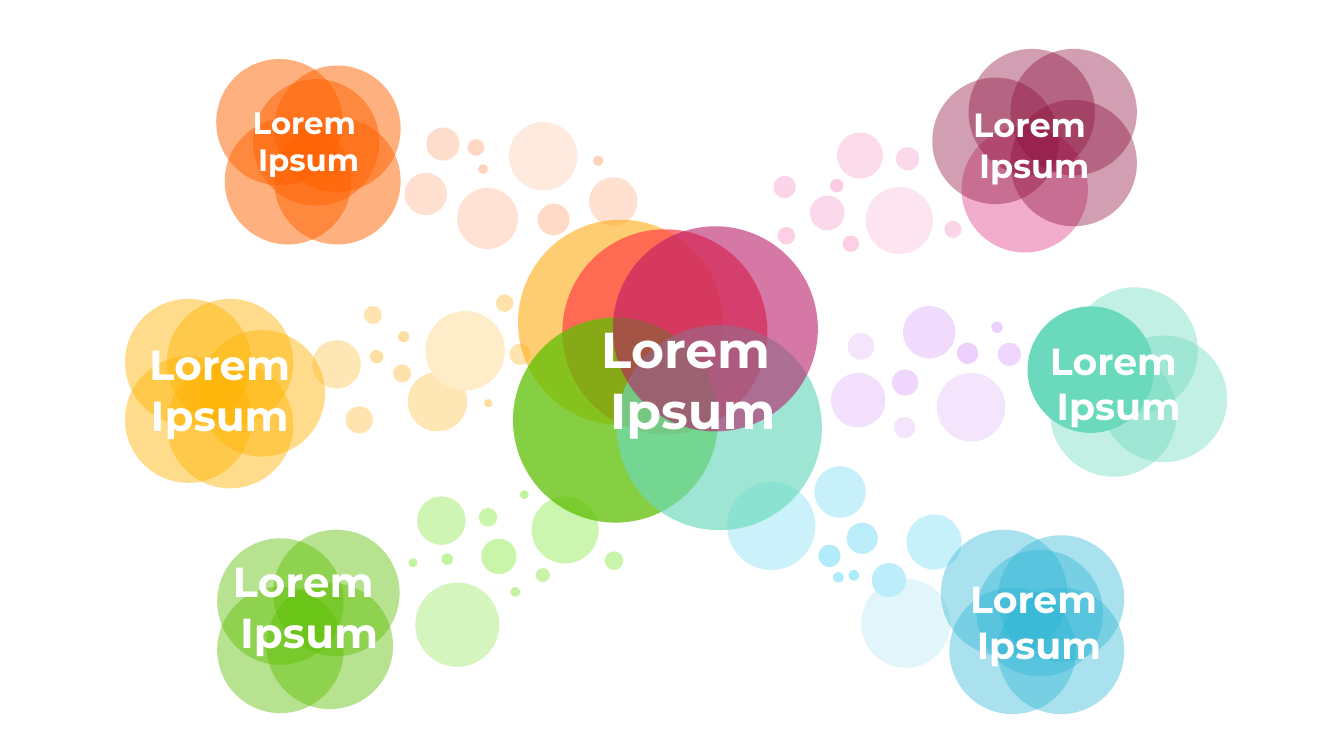
from lxml import etree
from pptx import Presentation
from pptx import util as u
from pptx.dml.color import RGBColor
from pptx.enum import shapes, text
from pptx.oxml.ns import qn


def tints(codes):
    return [RGBColor.from_string(c) for c in codes.split()]


WHITE = RGBColor(0xFF, 0xFF, 0xFF)
ORANGE = RGBColor(0xFF, 0x62, 0x00)
YELLOW = RGBColor(0xFF, 0xB3, 0x00)
GREEN = RGBColor(0x5C, 0xBF, 0x00)
TEAL = RGBColor(0x6B, 0xDA, 0xBC)
BLUE = RGBColor(0x2B, 0xB5, 0xD6)
WINE = RGBColor(0x8C, 0x10, 0x3D)
PINK = RGBColor(0xDE, 0x33, 0x7D)
AMBER = RGBColor(0xFF, 0xAE, 0x17)
RED = RGBColor(0xFF, 0x4A, 0x4A)
MAGENTA = RGBColor(0xB8, 0x18, 0x66)
ORANGE_TINTS = tints("FFE0D1 FFEAE0 FFE2D4 FFDAC7 FFDDCC FFD7C2 FFD2BA")
PURPLE_TINTS = tints("F1DBFC F2E0FC F4E5FC EFD6FC EDD1FC")
PINK_TINTS = tints("FCDBEB FCD9EA FCCFE4 FCCCE2 FCD4E7 FCE5F0")
GREEN_TINTS = tints("CCF5B0 CEF5B3 D5F5BF C8F5A9 C1F59D")
YELLOW_TINTS = tints("FFE4B0 FFE6B5 FFE2AB FFDEA1 FFE7B5 FFEDC9")
BLUE_TINTS = tints("C6F0FA CBF1FA E1F5FA C8F0FA BBEEFA B2ECFA ACEBFA")

PETAL = 2.51   # diameter of a petal in the outer flowers, inches
CORE = 4.07    # diameter of a petal in the central flower, inches

# Bubbles: for each tint, its circles as (left, top, diameter) in inches
BUBBLES = [
    (ORANGE_TINTS, [
        [(11.69, 3.52, 0.96), (8.03, 3.43, 0.84)],
        [(10.1, 2.42, 1.36)],
        [(9.07, 3.73, 1.21)],
        [(10.67, 4.04, 0.63)],
        [(8.46, 2.53, 0.66)],
        [(9.28, 2.76, 0.33)],
        [(9.49, 3.26, 0.19), (11.77, 3.09, 0.2)]]),
    (PURPLE_TINTS, [
        [(17.92, 6.07, 1.04)],
        [(16.49, 7.4, 1.08)],
        [(17.74, 8.27, 0.42), (16.82, 6.61, 0.53), (18.59, 7.4, 1.36)],
        [(17.7, 7.33, 0.52), (19.8, 6.8, 0.46)],
        [(18.99, 6.8, 0.42), (19.67, 6.38, 0.23)]]),
    (PINK_TINTS, [
        [(16.61, 2.63, 0.91)],
        [(16.07, 3.88, 0.69), (17.78, 2.92, 0.46)],
        [(15.43, 4.5, 0.35), (16.72, 4.67, 0.33)],
        [(16.47, 3.55, 0.27)],
        [(15.35, 3.49, 0.44), (18.74, 4.38, 0.34)],
        [(17.18, 3.71, 1.33)]]),
    (GREEN_TINTS, [
        [(10.55, 9.85, 1.33)],
        [(8.28, 9.85, 0.96)],
        [(8.24, 11.56, 1.67)],
        [(9.55, 10.69, 0.7), (10.63, 11.27, 0.28), (9.5, 10.08, 0.37),
         (12, 10.94, 0.37)],
        [(8.76, 10.98, 0.23), (10.13, 11.65, 0.19), (8.11, 11.08, 0.17),
         (10.32, 9.73, 0.17)]]),
    (YELLOW_TINTS, [
        [(10.11, 6.82, 0.42), (6.86, 8.06, 0.54), (7.22, 6.07, 0.36)],
        [(6.2, 6.75, 0.96)],
        [(7.8, 7.23, 0.36), (9.84, 5.84, 0.35)],
        [(7.34, 6.94, 0.27), (7.9, 6.57, 0.22), (9.61, 7.92, 0.16)],
        [(8.09, 7.38, 1.18)],
        [(8.44, 6.17, 1.58)]]),
    (BLUE_TINTS, [
        [(17.99, 10.21, 1.09)],
        [(14.43, 9.56, 1.75)],
        [(17.09, 11.48, 1.77)],
        [(16.16, 9.25, 1.02)],
        [(16.8, 10.37, 0.62), (17.3, 11.17, 0.68)],
        [(16.24, 10.81, 0.44)],
        [(16.84, 11.31, 0.21), (16.53, 11.35, 0.21)]]),
]

# Outer flowers: runs of (colour, opacity %, petal corners in inches)
FLOWERS = [
    [(GREEN, 44, [(4.31, 10.68), (4.31, 11.64), (5.29, 11.56), (5.42, 10.51)])],
    [(TEAL, 40, [(21.26, 5.7)]), (TEAL, 100, [(20.39, 6.08)]),
     (TEAL, 40, [(20.84, 6.95), (21.84, 6.66)])],
    [(YELLOW, 45, [(3.31, 7.18), (3.94, 6.55), (3.31, 5.93), (2.48, 7.07),
                   (2.48, 5.93)])],
    [(PINK, 40, [(19.08, 2.5)]),
     (WINE, 40, [(20.05, 1.98), (20.05, 0.97), (19.22, 0.97), (18.5, 1.54)])],
    [(BLUE, 40, [(19.8, 11.66), (19.8, 10.62), (18.67, 10.51), (18.84, 11.66),
                 (19.38, 10.91)])],
    [(ORANGE, 50, [(5.44, 2.34), (5.44, 1.3), (4.29, 1.17), (4.46, 2.34),
                   (5.02, 1.57)])],
]
CENTRE = [
    (AMBER, 61, [(10.28, 4.36)]), (RED, 75, [(11.16, 4.55)]),
    (GREEN, 74, [(10.18, 6.3)]), (TEAL, 65, [(12.24, 6.45)]),
    (MAGENTA, 58, [(12.16, 4.49)]),
]

# Labels: box in inches, then text size in points
LABELS = [
    ((4.02, 2.06, 4.21, 1.23), 44), ((2.87, 6.72, 2.98, 1.23), 60),
    ((3.84, 11.03, 4.59, 1.18), 60), ((18.89, 2.07, 3.27, 0.81), 48),
    ((20.67, 6.7, 3.06, 0.91), 54), ((19.14, 11.43, 2.95, 0.91), 54),
]
TITLE = ((11.05, 6.32, 5.39, 1.46), 72)


def cm(inches):
    return u.Cm(inches * 2.54)


class Board:
    font = "Montserrat"
    lines = ("Lorem ", "Ipsum")

    def __init__(self, slide):
        self.s = slide

    def group(self):
        return self.s.shapes.add_group_shape()

    def circle(self, group, left, top, size, colour, opacity=100):
        sp = group.shapes.add_shape(shapes.MSO_SHAPE.OVAL, cm(left), cm(top),
                                    cm(size), cm(size))
        sp.shadow.inherit = False
        sp.line.fill.background()
        sp.fill.solid()
        sp.fill.fore_color.rgb = colour
        if opacity < 100:
            clr = sp.element.spPr.find(".//" + qn("a:srgbClr"))
            etree.SubElement(clr, qn("a:alpha"), val=str(opacity * 1000))

    def bubbles(self, palette, spots_by_tint):
        group = self.group()
        for colour, spots in zip(palette, spots_by_tint):
            for left, top, size in spots:
                self.circle(group, left, top, size, colour)

    def flower(self, petals, size):
        group = self.group()
        for colour, opacity, corners in petals:
            for left, top in corners:
                self.circle(group, left, top, size, colour, opacity)

    def set_text(self, sp, box, size):
        sp.left, sp.top, sp.width, sp.height = map(cm, box)
        tf = sp.text_frame
        tf.word_wrap = True
        tf.auto_size = text.MSO_AUTO_SIZE.NONE
        tf.vertical_anchor = text.MSO_ANCHOR.TOP
        tf.margin_left = tf.margin_right = tf.margin_top = tf.margin_bottom = 0
        for i, line in enumerate(self.lines):
            p = tf.add_paragraph() if i else tf.paragraphs[0]
            p.alignment = text.PP_ALIGN.CENTER
            r = p.add_run()
            r.text = line
            r.font.name, r.font.size, r.font.bold = self.font, u.Pt(size), True
            r.font.color.rgb = WHITE

    def label(self, box, size):
        self.set_text(self.s.shapes.add_textbox(0, 0, 0, 0), box, size)

    def title(self, box, size):
        sp = self.s.shapes.title
        sp.element.getparent().append(sp.element)  # bring in front of the flower
        self.set_text(sp, box, size)


def main():
    prs = Presentation()
    prs.slide_width, prs.slide_height = cm(26.67), cm(15)
    board = Board(prs.slides.add_slide(prs.slide_layouts[5]))

    # Trails of bubbles
    for palette, spots_by_tint in BUBBLES:
        board.bubbles(palette, spots_by_tint)

    # Flowers
    for petals in FLOWERS:
        board.flower(petals, PETAL)
    board.flower(CENTRE, CORE)

    # Text on the flowers
    for box, size in LABELS:
        board.label(box, size)
    board.title(*TITLE)

    prs.save("out.pptx")


if __name__ == "__main__":
    main()
